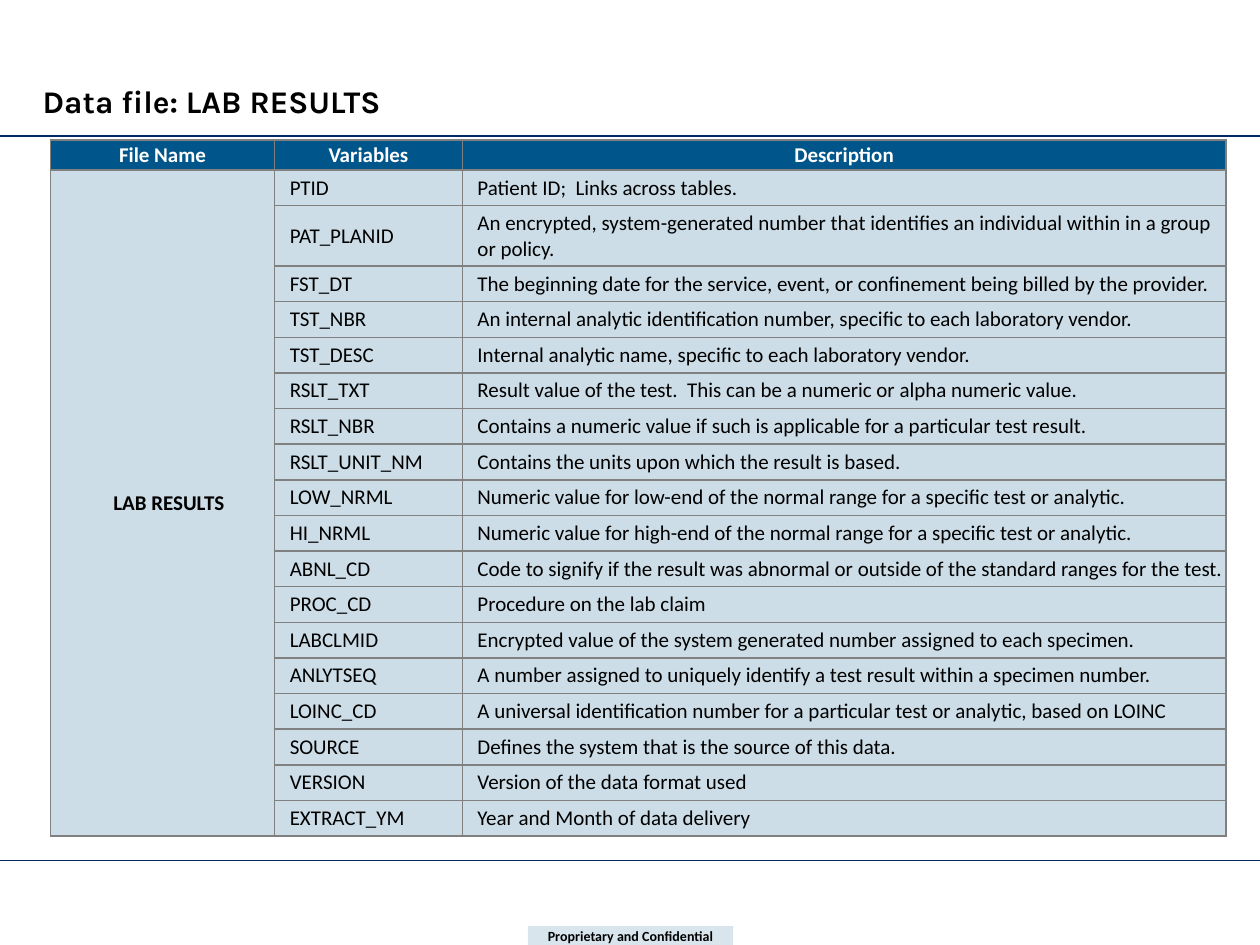
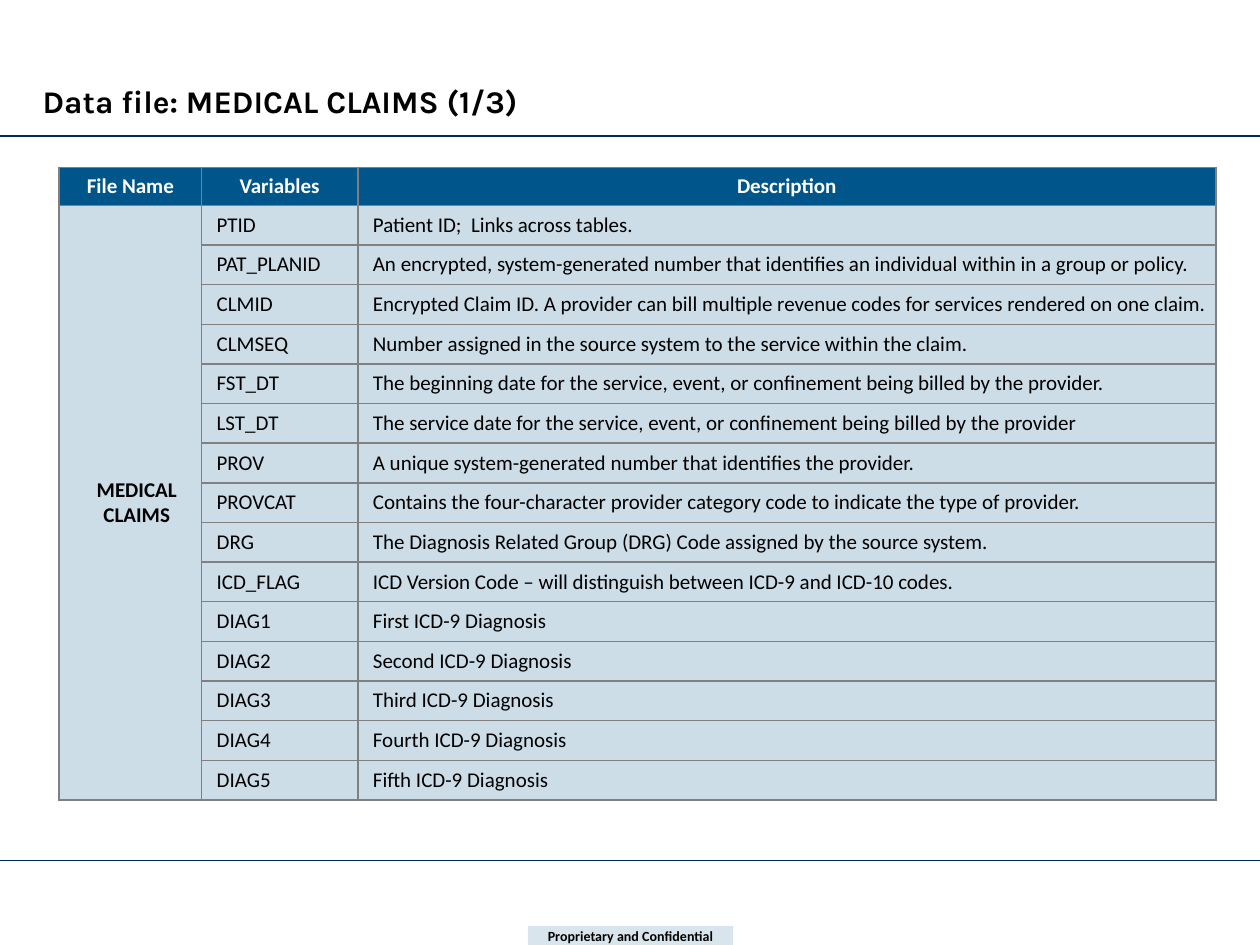
"""Build two data dictionary slides with a shared title, rules and footer."""
import pptx
import pptx.dml.color
import pptx.enum.shapes
import pptx.enum.text
import pptx.oxml
import pptx.oxml.ns
import pptx.util
from dataclasses import dataclass

Inches = pptx.util.Inches
PP = pptx.enum.text.PP_ALIGN
MIDDLE = pptx.enum.text.MSO_ANCHOR.MIDDLE
BOTTOM = pptx.enum.text.MSO_ANCHOR.BOTTOM


@dataclass(frozen=True)
class Theme:
    accent: str = "00558A"
    rule: str = "002864"
    border: str = "808080"
    ink: str = "000000"
    paper: str = "FFFFFF"
    cell_opacity: int = 20
    footer_opacity: int = 15
    title_font: str = "Karla"
    body_font: str = "Calibri"
    title_size: int = 18
    body_size: int = 12
    footer_size: int = 8
    rule_width: float = 0.75
    border_width: float = 1


THEME = Theme()
FOOTER = "Proprietary and Confidential"
HEADERS = ["File Name", "Variables", "Description"]
RULE_TOPS = [6.83, 1.08]

PATIENT_ROWS = [
    ("PTID", "Patient ID;  Links across tables."),
    ("PAT_PLANID", "An encrypted, system-generated number that identifies an individual within in a group or policy."),
]
FIRST_DATE = ("FST_DT", "The beginning date for the service, event, or confinement being billed by the provider.")

LAB_ROWS = PATIENT_ROWS + [
    FIRST_DATE,
    ("TST_NBR", "An internal analytic identification number, specific to each laboratory vendor."),
    ("TST_DESC", "Internal analytic name, specific to each laboratory vendor."),
    ("RSLT_TXT", "Result value of the test.  This can be a numeric or alpha numeric value."),
    ("RSLT_NBR", "Contains a numeric value if such is applicable for a particular test result."),
    ("RSLT_UNIT_NM", "Contains the units upon which the result is based."),
    ("LOW_NRML", "Numeric value for low-end of the normal range for a specific test or analytic."),
    ("HI_NRML", "Numeric value for high-end of the normal range for a specific test or analytic."),
    ("ABNL_CD", "Code to signify if the result was abnormal or outside of the standard ranges for the test."),
    ("PROC_CD", "Procedure on the lab claim"),
    ("LABCLMID", "Encrypted value of the system generated number assigned to each specimen."),
    ("ANLYTSEQ", "A number assigned to uniquely identify a test result within a specimen number."),
    ("LOINC_CD", "A universal identification number for a particular test or analytic, based on LOINC"),
    ("SOURCE", "Defines the system that is the source of this data."),
    ("VERSION", "Version of the data format used"),
    ("EXTRACT_YM", "Year and Month of data delivery"),
]

CLAIM_ROWS = PATIENT_ROWS + [
    ("CLMID", "Encrypted Claim ID. A provider can bill multiple revenue codes for services rendered on one claim."),
    ("CLMSEQ", "Number assigned in the source system to the service within the claim."),
    FIRST_DATE,
    ("LST_DT", "The service date for the service, event, or confinement being billed by the provider"),
    ("PROV", "A unique system-generated number that identifies the provider."),
    ("PROVCAT", "Contains the four-character provider category code to indicate the type of provider."),
    ("DRG", "The Diagnosis Related Group (DRG) Code assigned by the source system."),
    ("ICD_FLAG", "ICD Version Code – will distinguish between ICD-9 and ICD-10 codes."),
] + [
    (f"DIAG{n}", f"{word} ICD-9 Diagnosis")
    for n, word in enumerate(["First", "Second", "Third", "Fourth", "Fifth"], 1)
]

SLIDES = [
    dict(title="Data file: LAB RESULTS", file_name="LAB RESULTS", rows=LAB_ROWS,
         left=0.4, top=1.11, height=5.33, header=0.24, columns=[1.78, 1.49, 6.06]),
    dict(title="Data file: MEDICAL CLAIMS (1/3)", file_name="MEDICAL CLAIMS", rows=CLAIM_ROWS,
         left=0.47, top=1.33, height=5.02, header=0.3, columns=[1.13, 1.24, 6.81]),
]


def rgb(color):
    return pptx.dml.color.RGBColor.from_string(color)


def write(tf, text, *, size=THEME.body_size, font=THEME.body_font, color=THEME.ink,
          bold=False, align=PP.LEFT):
    p = tf.paragraphs[0]
    p.alignment = align
    r = p.add_run()
    r.text = text
    r.font.size, r.font.name, r.font.bold = pptx.util.Pt(size), font, bold
    r.font.color.rgb = rgb(color)


def set_margins(box, left, top, right, bottom):
    box.margin_left, box.margin_top = Inches(left), Inches(top)
    box.margin_right, box.margin_bottom = Inches(right), Inches(bottom)


def tint(fill, properties, opacity):
    fill.solid()
    fill.fore_color.rgb = rgb(THEME.accent)
    if opacity < 100:
        clr = properties.find(pptx.oxml.ns.qn("a:solidFill")).find(pptx.oxml.ns.qn("a:srgbClr"))
        alpha = pptx.oxml.parse_xml(f'<a:alpha {pptx.oxml.ns.nsdecls("a")} val="{opacity * 1000}"/>')
        clr.append(alpha)


def add_borders(cell):
    width = pptx.util.Pt(THEME.border_width)
    for i, side in enumerate(["lnL", "lnR", "lnT", "lnB"]):
        ln = pptx.oxml.parse_xml(
            f'<a:{side} {pptx.oxml.ns.nsdecls("a")} w="{width}"><a:solidFill>'
            f'<a:srgbClr val="{THEME.border}"/></a:solidFill></a:{side}>')
        cell._tc.get_or_add_tcPr().insert(i, ln)


def fill_cell(cell, text, margins, opacity=THEME.cell_opacity, **style):
    write(cell.text_frame, text, **style)
    set_margins(cell, *margins)
    cell.vertical_anchor = MIDDLE
    tint(cell.fill, cell._tc.get_or_add_tcPr(), opacity)


def add_frame(s, title):
    for y in RULE_TOPS:
        line = s.shapes.add_connector(pptx.enum.shapes.MSO_CONNECTOR.STRAIGHT,
                                      0, Inches(y), Inches(10), Inches(y))
        line.line.color.rgb = rgb(THEME.rule)
        line.line.width = pptx.util.Pt(THEME.rule_width)
        line._element.spPr.append(pptx.oxml.parse_xml(f'<a:effectLst {pptx.oxml.ns.nsdecls("a")}/>'))

    sp = s.shapes.add_shape(pptx.enum.shapes.MSO_SHAPE.RECTANGLE,
                            Inches(4.19), Inches(7.35), Inches(1.63), Inches(0.15))
    sp.shadow.inherit = False
    sp.line.fill.background()
    tint(sp.fill, sp._element.spPr, THEME.footer_opacity)
    tf = sp.text_frame
    tf.word_wrap = True
    tf.vertical_anchor = MIDDLE
    set_margins(tf, 0.01, 0.01, 0.01, 0.01)
    write(tf, FOOTER, size=THEME.footer_size, bold=True, align=PP.CENTER)

    tf = s.shapes.add_textbox(Inches(0.24), Inches(0.6), Inches(9.5), Inches(0.4)).text_frame
    tf.word_wrap = True
    tf.vertical_anchor = BOTTOM
    write(tf, title, size=THEME.title_size, font=THEME.title_font, bold=True)


def add_dictionary(s, file_name, rows, left, top, height, header, columns):
    table = s.shapes.add_table(len(rows) + 1, len(columns), Inches(left), Inches(top),
                               Inches(sum(columns)), Inches(height)).table
    table.horz_banding = False
    for column, width in zip(table.columns, columns):
        column.width = Inches(width)
    row_height = (height - header) / len(rows)
    for i, row in enumerate(table.rows):
        row.height = Inches(row_height if i else header)

    for c, text in enumerate(HEADERS):
        fill_cell(table.cell(0, c), text, (0, 0, 0, 0), opacity=100,
                  color=THEME.paper, bold=True, align=PP.CENTER)
    table.cell(1, 0).merge(table.cell(len(rows), 0))
    fill_cell(table.cell(1, 0), file_name, (0.1, 0, 0, 0), bold=True, align=PP.CENTER)
    for i, entry in enumerate(rows, 1):
        for c, text in enumerate(entry, 1):
            fill_cell(table.cell(i, c), text, (0.12, 0.04, 0, 0.04))
    for cell in table.iter_cells():
        add_borders(cell)


def main():
    prs = pptx.Presentation()
    prs.slide_width, prs.slide_height = Inches(10), Inches(7.5)
    for content in SLIDES:
        s = prs.slides.add_slide(prs.slide_layouts[6])
        add_frame(s, content["title"])
        add_dictionary(s, **{k: v for k, v in content.items() if k != "title"})
    prs.save("out.pptx")


if __name__ == "__main__":
    main()
